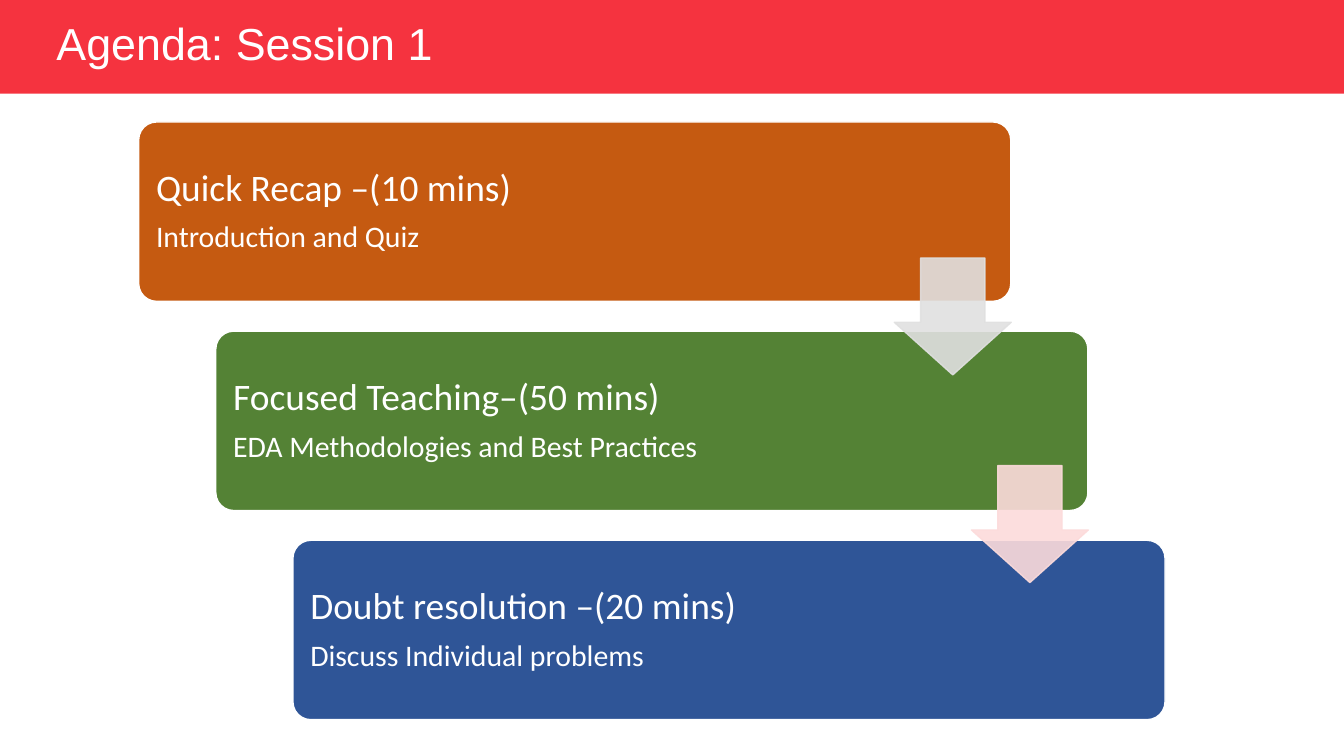
from lxml import etree
from pptx import Presentation
from pptx.dml.color import RGBColor
from pptx.enum.shapes import MSO_SHAPE as SHAPE
from pptx.enum.text import MSO_ANCHOR as ANCHOR, MSO_AUTO_SIZE as AUTO, PP_ALIGN as ALIGN
from pptx.oxml.ns import qn
from pptx.util import Inches, Pt

WHITE = RGBColor(0xFF, 0xFF, 0xFF)
RED = RGBColor(0xF5, 0x33, 0x3F)
ORANGE = RGBColor(0xC5, 0x5A, 0x11)
GREEN = RGBColor(0x54, 0x82, 0x35)
BLUE = RGBColor(0x2F, 0x55, 0x97)
GREY = RGBColor(0xE0, 0xE0, 0xE0)
PINK = RGBColor(0xFC, 0xDB, 0xDB)

STEPS = [
    ("Quick Recap –(10 mins)", "Introduction and Quiz", ORANGE),
    ("Focused Teaching–(50 mins)", "EDA Methodologies and Best Practices", GREEN),
    ("Doubt resolution –(20 mins)", "Discuss Individual problems", BLUE),
]
ARROWS = [GREY, PINK]


class AgendaSlide:
    title_font, body_font = "Arial", "Calibri"
    head_size, detail_size = 26.7, 21.3

    def __init__(self, prs):
        self.s = prs.slides.add_slide(prs.slide_layouts[5])

    def shape(self, kind, x, y, w, h, fill, line=None):
        sp = self.s.shapes.add_shape(kind, Inches(x), Inches(y), Inches(w), Inches(h))
        sp.shadow.inherit = False
        sp.fill.solid()
        sp.fill.fore_color.rgb = fill
        if line is None:
            sp.line.fill.background()
        else:
            sp.line.color.rgb = line
            sp.line.width = Pt(1)
        return sp

    def text(self, p, text, font, size, space_before=0):
        p.alignment = ALIGN.LEFT
        p.line_spacing = 0.9
        p.space_before = Pt(space_before)
        r = p.add_run()
        r.text = text
        r.font.name = font
        r.font.size = Pt(size)
        r.font.color.rgb = WHITE

    def title(self, text):
        """Place the title on a full-width band that lies behind it."""
        title = self.s.shapes.title
        band = self.shape(SHAPE.RECTANGLE, 0, 0, 13.33, 0.93, RED)
        title._element.addprevious(band._element)
        title.left, title.top = Inches(0.46), Inches(0.18)
        title.width, title.height = Inches(5.45), Inches(0.56)
        tf = title.text_frame
        tf.auto_size = AUTO.NONE
        tf.vertical_anchor = ANCHOR.MIDDLE
        self.text(tf.paragraphs[0], text, self.title_font, 32)

    def step(self, x, y, head, detail, fill):
        sp = self.shape(SHAPE.ROUNDED_RECTANGLE, x, y, 8.65, 1.78, fill, WHITE)
        sp.adjustments[0] = 0.1
        tf = sp.text_frame
        tf.word_wrap = True
        tf.vertical_anchor = ANCHOR.MIDDLE
        tf.margin_left = tf.margin_top = tf.margin_bottom = Inches(0.12)
        tf.margin_right = Inches(2)
        self.text(tf.paragraphs[0], head, self.body_font, self.head_size)
        self.text(tf.add_paragraph(), detail, self.body_font, self.detail_size, 9.3)

    def arrow(self, x, y, color):
        sp = self.shape(SHAPE.DOWN_ARROW, x, y, 1.16, 1.16, color, color)
        sp.adjustments[0] = 0.55
        sp.adjustments[1] = 0.45
        for clr in sp._element.spPr.iter(qn("a:srgbClr")):
            etree.SubElement(clr, qn("a:alpha")).set("val", "90000")


def main():
    prs = Presentation()
    prs.slide_width, prs.slide_height = Inches(13.33), Inches(7.5)
    agenda = AgendaSlide(prs)
    agenda.title("Agenda: Session 1")
    dx, dy = 0.765, 2.075
    for i, (head, detail, fill) in enumerate(STEPS):
        agenda.step(1.375 + i * dx, 1.21 + i * dy, head, detail, fill)
    for i, color in enumerate(ARROWS):
        agenda.arrow(8.87 + i * dx, 2.56 + i * 2.06, color)
    prs.save("out.pptx")


if __name__ == "__main__":
    main()
